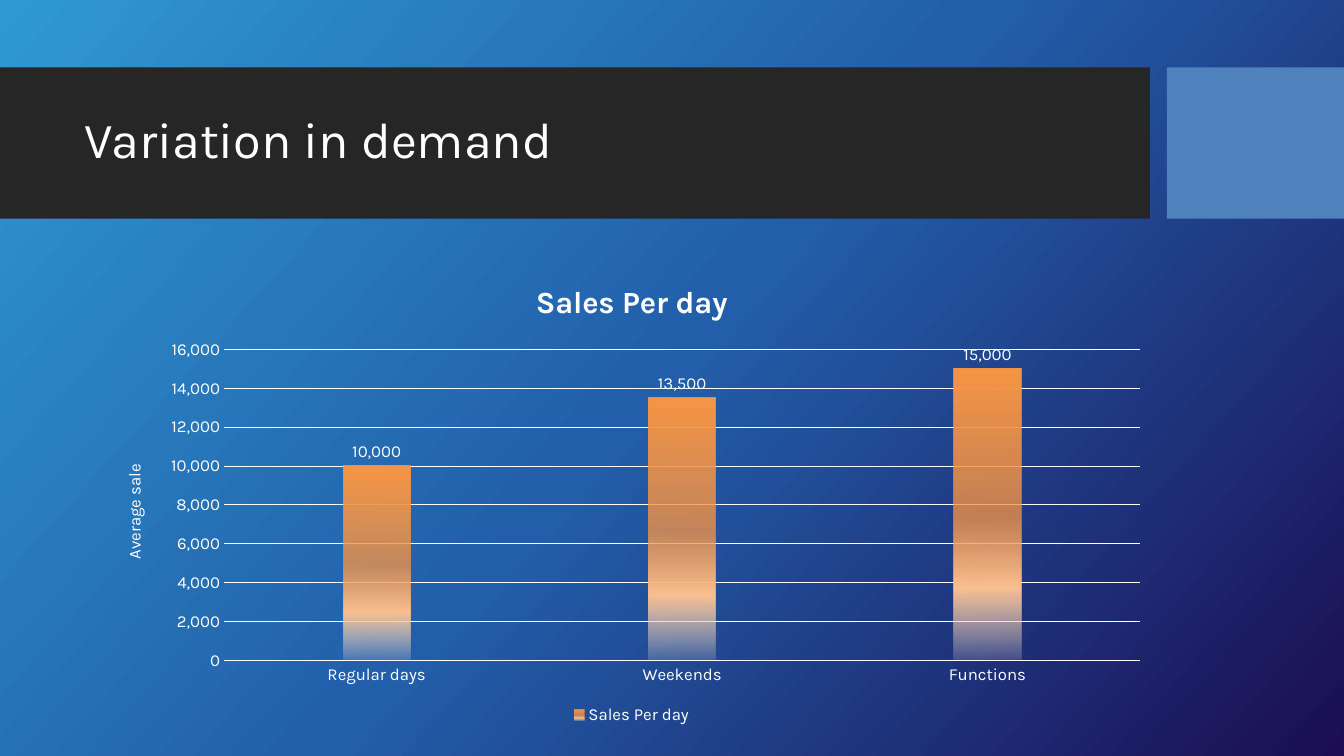
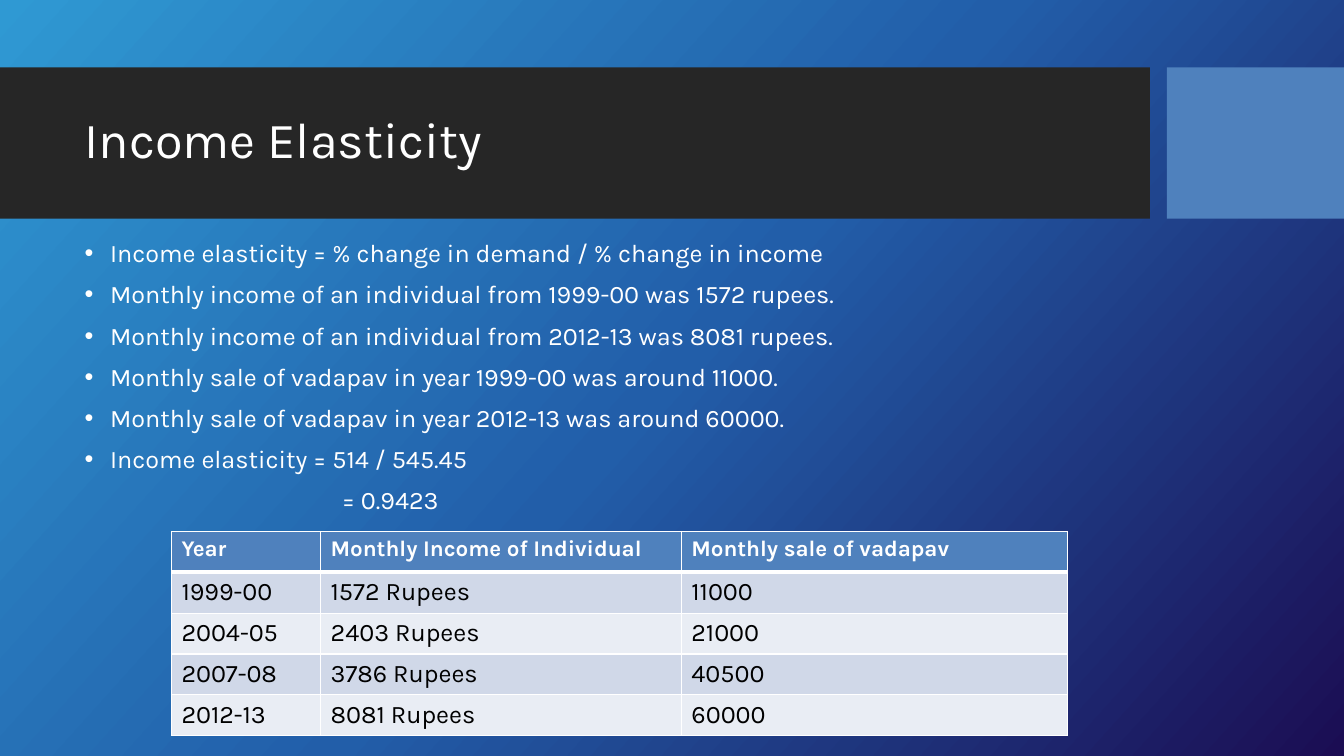
from lxml import etree
from pptx import Presentation
from pptx.chart.data import CategoryChartData
from pptx.dml.color import RGBColor
from pptx.enum.chart import (XL_CHART_TYPE, XL_LABEL_POSITION,
                             XL_LEGEND_POSITION, XL_TICK_MARK)
from pptx.enum.shapes import MSO_SHAPE
from pptx.enum.text import MSO_ANCHOR, MSO_AUTO_SIZE, PP_ALIGN
from pptx.oxml.ns import qn
from pptx.util import Cm, Pt

COLORS = {
    "text": "FFFFFF", "band": "262626", "accent": "4F81BD",
    "dark": "000000", "row_odd": "D0D8E8", "row_even": "E9EDF4",
    "sky": "2F99D3", "blue": "225EA9", "night": "1B0D53",
    "orange": "F79646", "peach": "FAC090", "cream": "FDEADA",
}
FONT = "Karla"
TITLE_ONLY, TITLE_AND_BODY = 5, 1
# Gradient stops: position %, colour, opacity %
BACKGROUND = [(0, "sky", 100), (50, "blue", 100), (100, "night", 100)]
COLUMN_FILL = [(0, "orange", 100), (51, "orange", 75),
               (75, "peach", 100), (100, "cream", 15)]


def rgb(color):
    return RGBColor.from_string(COLORS[color])


def set_gradient(parent, stops, angle):
    """Replace the solid fill inside parent with a linear gradient."""
    grad = etree.Element(qn("a:gradFill"), rotWithShape="1")
    stop_list = etree.SubElement(grad, qn("a:gsLst"))
    for pos, color, opacity in stops:
        stop = etree.SubElement(stop_list, qn("a:gs"), pos=str(pos * 1000))
        clr = etree.SubElement(stop, qn("a:srgbClr"), val=COLORS[color])
        if opacity < 100:
            etree.SubElement(clr, qn("a:alpha"), val=str(opacity * 1000))
    etree.SubElement(grad, qn("a:lin"), ang=str(angle * 60000), scaled="0")
    parent.replace(parent.find(qn("a:solidFill")), grad)


class Deck:
    """Holds the shared style and the slide being built."""

    def __init__(self):
        self.prs = Presentation()
        self.prs.slide_width, self.prs.slide_height = Cm(33.87), Cm(19.05)
        self.s = None

    def format_font(self, font, size, color="text", bold=False):
        values = {"name": FONT, "size": Pt(size), "bold": bold}
        for name, value in values.items():
            setattr(font, name, value)
        font.color.rgb = rgb(color)

    def place(self, shape, left, top, width, height):
        box = {"left": left, "top": top, "width": width, "height": height}
        for name, value in box.items():
            setattr(shape, name, Cm(value))

    def add_slide(self, layout, title):
        self.s = self.prs.slides.add_slide(self.prs.slide_layouts[layout])
        # Background
        self.s.background.fill.solid()
        bg = self.s.element.find(".//" + qn("p:bgPr"))
        set_gradient(bg, BACKGROUND, 42)
        # Title bands, behind the placeholders
        self.add_band(0, 28.98, "band", 2)
        self.add_band(29.41, 4.46, "accent", 3)
        # Title
        sp = self.s.shapes.title
        self.place(sp, 1.88, 2.08, 26.7, 3)
        tf = sp.text_frame
        tf.text = title
        tf.auto_size = MSO_AUTO_SIZE.NONE
        tf.vertical_anchor = MSO_ANCHOR.MIDDLE
        p = tf.paragraphs[0]
        p.alignment, p.line_spacing = PP_ALIGN.LEFT, 0.9
        self.format_font(p.runs[0].font, 36)

    def add_band(self, left, width, color, depth):
        sp = self.s.shapes.add_shape(MSO_SHAPE.RECTANGLE, Cm(left), Cm(1.7),
                                     Cm(width), Cm(3.81))
        sp.shadow.inherit = False
        sp.fill.solid()
        sp.fill.fore_color.rgb = rgb(color)
        sp.line.fill.background()
        self.s.shapes.element.insert(depth, sp.element)

    def add_list(self, lines, result):
        """Bulleted lines, then a result aligned under the last equals sign."""
        sp = self.s.placeholders[1]
        self.place(sp, 1.88, 5.94, 29.79, 12.09)
        tf = sp.text_frame
        tf.auto_size = MSO_AUTO_SIZE.NONE
        for i, text in enumerate(lines + [result]):
            p = tf.paragraphs[0] if i == 0 else tf.add_paragraph()
            bulleted = i < len(lines)
            pPr = p._p.get_or_add_pPr()
            pPr.set("marL", str(Cm(0.64 if bulleted else 6.48)))
            pPr.set("indent", str(Cm(-0.64 if bulleted else 0)))
            p.line_spacing = 0.9
            p.space_before = Pt(10 if i else 0)
            if bulleted:
                etree.SubElement(pPr, qn("a:buFont"), typeface="Arial")
                etree.SubElement(pPr, qn("a:buChar"), char="•")
            else:
                etree.SubElement(pPr, qn("a:buNone"))
            r = p.add_run()
            r.text = text
            self.format_font(r.font, 18)

    def add_table(self, left, top, widths, row_height, rows):
        frame = self.s.shapes.add_table(
            len(rows), len(widths), Cm(left), Cm(top),
            Cm(sum(widths)), Cm(row_height * len(rows)))
        table = frame.table
        table.horz_banding = False
        for column, width in zip(table.columns, widths):
            column.width = Cm(width)
        for i, row in enumerate(rows):
            table.rows[i].height = Cm(row_height)
            fill = "accent" if i == 0 else "row_odd" if i % 2 else "row_even"
            for j, text in enumerate(row):
                cell = table.cell(i, j)
                self.add_borders(cell, top=3 if i == 1 else 1,
                                 bottom=3 if i == 0 else 1)
                cell.fill.solid()
                cell.fill.fore_color.rgb = rgb(fill)
                cell.text = text
                font = cell.text_frame.paragraphs[0].runs[0].font
                if i == 0:
                    self.format_font(font, 16, bold=True)
                else:
                    self.format_font(font, 18, "dark")

    def add_borders(self, cell, top, bottom):
        tcPr = cell._tc.get_or_add_tcPr()
        for side, width in {"L": 1, "R": 1, "T": top, "B": bottom}.items():
            ln = etree.SubElement(tcPr, qn("a:ln" + side), w=str(Pt(width)))
            fill = etree.SubElement(ln, qn("a:solidFill"))
            etree.SubElement(fill, qn("a:srgbClr"), val=COLORS["text"])

    def add_column_chart(self, box, title, axis_title, categories, values):
        data = CategoryChartData(number_format="#,##0")
        data.categories = categories
        data.add_series(title, values)
        chart = self.s.shapes.add_chart(XL_CHART_TYPE.COLUMN_CLUSTERED,
                                        *map(Cm, box), data).chart
        self.format_font(chart.font, 12)
        # Titles and legend
        chart.has_title = True
        chart.chart_title.include_in_layout = False
        for owner, text, size, bold in (
                (chart.chart_title, title, 22, True),
                (chart.value_axis.axis_title, axis_title, 12, False)):
            owner.text_frame.text = text
            r = owner.text_frame.paragraphs[0].runs[0]
            self.format_font(r.font, size, bold=bold)
        chart.has_legend = True
        chart.legend.position = XL_LEGEND_POSITION.BOTTOM
        chart.legend.include_in_layout = False
        self.format_font(chart.legend.font, 12)
        # Axes
        value_axis, category_axis = chart.value_axis, chart.category_axis
        scale = {"minimum_scale": 0, "maximum_scale": 16000,
                 "major_unit": 2000}
        for name, value in scale.items():
            setattr(value_axis, name, value)
        for axis in (value_axis, category_axis):
            axis.major_tick_mark = XL_TICK_MARK.NONE
            self.format_font(axis.tick_labels.font, 12)
        value_axis.tick_labels.number_format = "#,##0"
        value_axis.tick_labels.number_format_is_linked = False
        value_axis.format.line.fill.background()
        for line in (category_axis.format.line,
                     value_axis.major_gridlines.format.line):
            line.color.rgb = rgb("text")
            line.width = Pt(0.75)
        # Columns and labels
        plot = chart.plots[0]
        plot.gap_width, plot.overlap = 355, -70
        plot.vary_by_categories = False
        series = plot.series[0]
        series.format.fill.solid()
        series.format.fill.fore_color.rgb = rgb("orange")
        set_gradient(series._element.find(qn("c:spPr")), COLUMN_FILL, 90)
        labels = series.data_labels
        label_format = {"show_value": True, "number_format": "#,##0",
                        "number_format_is_linked": False,
                        "position": XL_LABEL_POSITION.OUTSIDE_END}
        for name, value in label_format.items():
            setattr(labels, name, value)
        self.format_font(labels.font, 12)


def main():
    deck = Deck()

    # Demand chart
    deck.add_slide(TITLE_ONLY, "Variation in demand")
    deck.add_column_chart(
        (2.57, 6.58, 26.7, 11.79), "Sales Per day", "Average sale",
        ["Regular days", "Weekends", "Functions"], [10000, 13500, 15000])

    # Elasticity figures
    deck.add_slide(TITLE_AND_BODY, "Income Elasticity")
    deck.add_list([
        "Income elasticity = % change in demand / % change in income",
        "Monthly income of an individual from 1999-00 was 1572 rupees.",
        "Monthly income of an individual from 2012-13 was 8081 rupees.",
        "Monthly sale of vadapav in year 1999-00 was around 11000.",
        "Monthly sale of vadapav in year 2012-13 was around 60000.",
        "Income elasticity = 514 / 545.45",
    ], "= 0.9423")
    deck.add_table(4.32, 13.39, [3.76, 9.09, 9.73], 1.03, [
        ["Year", "Monthly Income of Individual", "Monthly sale of vadapav"],
        ["1999-00", "1572 Rupees", "11000"],
        ["2004-05", "2403 Rupees", "21000"],
        ["2007-08", "3786 Rupees", "40500"],
        ["2012-13", "8081 Rupees", "60000"],
    ])

    deck.prs.save("out.pptx")


if __name__ == "__main__":
    main()
